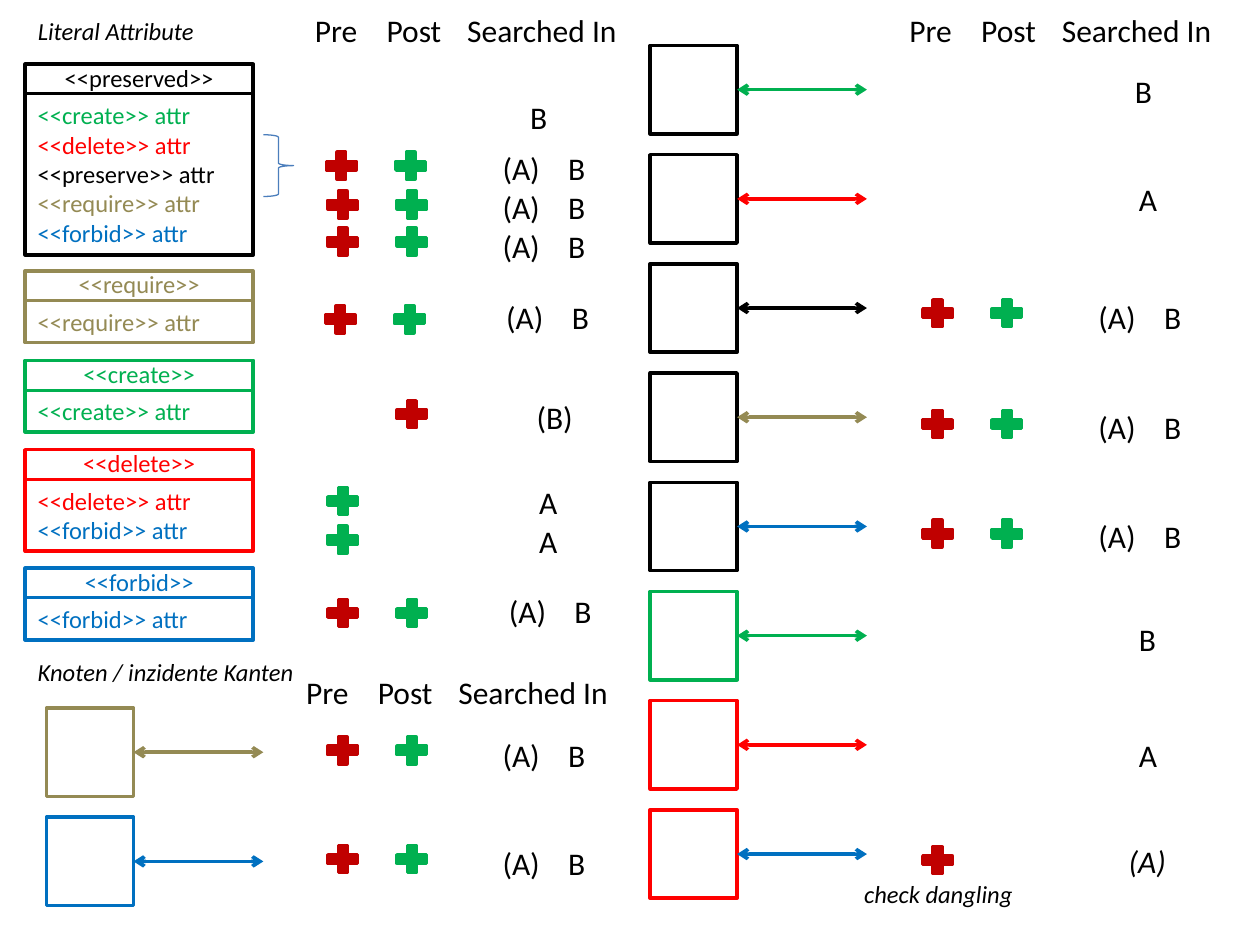
from lxml import etree
from pptx import Presentation
from pptx.dml.color import RGBColor
from pptx.enum.shapes import MSO_CONNECTOR, MSO_SHAPE
from pptx.enum.text import MSO_ANCHOR, MSO_AUTO_SIZE, PP_ALIGN
from pptx.oxml.ns import qn
from pptx.util import Pt

COLORS = {
    "preserve": "000000", "require": "948A54", "create": "00B050",
    "delete": "FF0000", "forbid": "0070C0",
    "red": "C00000", "green": "00B050", "brace": "4B7EBC",
}
FONT = "Calibri"
LINE_HEIGHT = {14: 24.2, 18: 29.1}
LABEL_WIDTH = {"A": 25, "B": 24.5, "(A)": 36, "(B)": 35.3, "(A)\tB": 62.6}
EDGE_PITCH = 62.4

# heading, colour, top, attributes
CLASSES = [
    ("preserved", "preserve", 36.7, ["create", "delete", "preserve", "require", "forbid"]),
    ("require", "require", 154.8, ["require"]),
    ("create", "create", 205.9, ["create"]),
    ("delete", "delete", 257, ["delete", "forbid"]),
    ("forbid", "forbid", 324.7, ["forbid"]),
]
# node colour, edge colour
RIGHT_EDGES = [
    ("preserve", "create"), ("preserve", "delete"), ("preserve", "preserve"),
    ("preserve", "require"), ("preserve", "forbid"), ("create", "create"),
    ("delete", "delete"), ("delete", "forbid"),
]
LEFT_EDGES = [("require", "require"), ("forbid", "forbid")]
# left of the Pre column, top, Pre colour, Post colour
MARKS = [
    (183.6, 84.2, "red", "green"), (184.3, 106.4, "red", "green"),
    (184.3, 127.6, "red", "green"), (183, 172, "red", "green"),
    (184.3, 226.2, None, "red"), (184.3, 275.8, "green", None),
    (184.3, 297.9, "green", None), (184.3, 339.8, "red", "green"),
    (184.3, 418.3, "red", "green"), (184.3, 480.4, "red", "green"),
    (524.2, 168.5, "red", "green"), (524.2, 231.8, "red", "green"),
    (524.2, 294.5, "red", "green"), (524.2, 481, "red", None),
]
# text, left, top
LABELS = [
    ("B", 295.9, 52.6), ("(A)\tB", 280.1, 81.4), ("(A)\tB", 280.1, 103.7),
    ("(A)\tB", 280.1, 126), ("(A)\tB", 282.2, 167), ("(B)", 299.5, 223.9),
    ("A", 301, 272.2), ("A", 301, 294.5), ("(A)\tB", 283.7, 334.8),
    ("(A)\tB", 280.1, 416.9), ("(A)\tB", 280.1, 478.8),
    ("B", 641.5, 37.4), ("A", 643.7, 99.4), ("(A)\tB", 620.6, 167),
    ("(A)\tB", 620.6, 229.7), ("(A)\tB", 620.6, 291.6),
    ("B", 643.7, 350.6), ("A", 643.7, 416.9),
]


def color(name):
    return RGBColor.from_string(COLORS[name])


def add_run(paragraph, text, size, color_name="preserve", italic=False):
    run = paragraph.add_run()
    run.text = text
    run.font.name = FONT
    run.font.size = Pt(size)
    run.font.italic = italic
    run.font.color.rgb = color(color_name)


def add_text(slide, left, top, width, lines, size=18, align=PP_ALIGN.LEFT,
             italic=False, wrap=False):
    """Add a text box with one paragraph for each (text, colour) in lines."""
    height = LINE_HEIGHT[size] + 17 * (len(lines) - 1)
    box = slide.shapes.add_textbox(Pt(left), Pt(top), Pt(width), Pt(height))
    frame = box.text_frame
    frame.word_wrap = wrap
    frame.auto_size = MSO_AUTO_SIZE.SHAPE_TO_FIT_TEXT
    for index, (text, color_name) in enumerate(lines):
        paragraph = frame.add_paragraph() if index else frame.paragraphs[0]
        paragraph.alignment = align
        add_run(paragraph, text, size, color_name, italic)
    return box


def add_title(slide, text):
    title = slide.shapes.title
    title.left, title.top, title.width, title.height = Pt(14.4), Pt(5.8), Pt(105), Pt(24.2)
    frame = title.text_frame
    frame.word_wrap = False
    frame.auto_size = MSO_AUTO_SIZE.SHAPE_TO_FIT_TEXT
    frame.vertical_anchor = MSO_ANCHOR.TOP
    frame.paragraphs[0].alignment = PP_ALIGN.LEFT
    add_run(frame.paragraphs[0], text, 14, italic=True)


def add_outline(shapes, kind, left, top, width, height, color_name, weight=2):
    shape = shapes.add_shape(kind, Pt(left), Pt(top), Pt(width), Pt(height))
    shape.shadow.inherit = False
    shape.fill.background()
    shape.line.color.rgb = color(color_name)
    shape.line.width = Pt(weight)
    return shape


def add_line(shapes, left, right, y, color_name, weight):
    line = shapes.add_connector(MSO_CONNECTOR.STRAIGHT, Pt(left), Pt(y), Pt(right), Pt(y))
    line.line.color.rgb = color(color_name)
    line.line.width = Pt(weight)
    etree.SubElement(line._element.spPr, qn("a:effectLst"))
    return line


def add_class(slide, heading, color_name, top, attributes):
    left, width, header = 14.4, 130.3, 17
    height = 41 + 17 * (len(attributes) - 1)
    add_outline(slide.shapes, MSO_SHAPE.RECTANGLE, left, top, width, height, color_name)
    add_line(slide.shapes, left, left + width, top + header, color_name, 1.75)
    add_text(slide, left, top - 4.5, width, [(f"<<{heading}>>", color_name)], 14,
             PP_ALIGN.CENTER, wrap=True)
    lines = [(f"<<{attribute}>> attr", attribute) for attribute in attributes]
    add_text(slide, left, top + header, width, lines, 14, wrap=True)


def add_edge(slide, left, top, node_color, edge_color):
    """Add a node with a double-headed edge leaving its right side."""
    width, height = 49.7, 50.5
    shapes = slide.shapes.add_group_shape().shapes
    node = add_outline(shapes, MSO_SHAPE.RECTANGLE, left, top, width, height, node_color)
    edge = add_line(shapes, left + width, left + width + 74.2, top + height / 2, edge_color, 2)
    edge.begin_connect(node, 3)
    line_properties = edge.line._get_or_add_ln()
    for end in ("a:headEnd", "a:tailEnd"):
        etree.SubElement(line_properties, qn(end), type="arrow")


def add_mark(slide, left, top, color_name):
    mark = add_outline(slide.shapes, MSO_SHAPE.MATH_PLUS, left, top, 23, 21, color_name)
    mark.fill.solid()
    mark.fill.fore_color.rgb = color(color_name)


def add_column_heads(slide, left, top):
    for text, offset, width in (("Pre", 0, 38.9), ("Post", 41, 46), ("Searched In", 87.1, 100.8)):
        add_text(slide, left + offset, top, width, [(text, "preserve")])


def add_label(slide, text, left, top, italic=False):
    has_tab = "\t" in text
    box = add_text(slide, left, top, LABEL_WIDTH[text], [(text, "preserve")],
                   italic=italic, wrap=has_tab)
    if has_tab:
        properties = box.text_frame.paragraphs[0]._p.get_or_add_pPr()
        tabs = etree.SubElement(properties, qn("a:tabLst"))
        etree.SubElement(tabs, qn("a:tab"), pos=str(Pt(37.5)), algn="l")


def main():
    presentation = Presentation()
    presentation.slide_width, presentation.slide_height = Pt(720), Pt(540)
    slide = presentation.slides.add_slide(presentation.slide_layouts[5])

    add_title(slide, "Literal Attribute")
    for entry in CLASSES:
        add_class(slide, *entry)
    for left, top, edges in ((371.5, 26, RIGHT_EDGES), (26.6, 404.6, LEFT_EDGES)):
        for index, (node_color, edge_color) in enumerate(edges):
            add_edge(slide, left, top + EDGE_PITCH * index, node_color, edge_color)
    add_outline(slide.shapes, MSO_SHAPE.RIGHT_BRACE, 150.5, 77, 17.3, 35.3, "brace", 0.75)

    for left, top in ((172.8, 2.9), (512.6, 2.9), (167.8, 380.9)):
        add_column_heads(slide, left, top)
    for left, top, pre, post in MARKS:
        for offset, color_name in ((0, pre), (39.6, post)):
            if color_name:
                add_mark(slide, left + offset, top, color_name)
    for text, left, top in LABELS:
        add_label(slide, text, left, top)
    add_label(slide, "(A)", 637.9, 477.4, italic=True)
    for text, left, top, width in (("check dangling", 486.7, 499, 100.8),
                                   ("Knoten / inzidente Kanten", 14.4, 372.2, 166.3)):
        add_text(slide, left, top, width, [(text, "preserve")], 14, italic=True)

    presentation.save("out.pptx")


if __name__ == "__main__":
    main()
